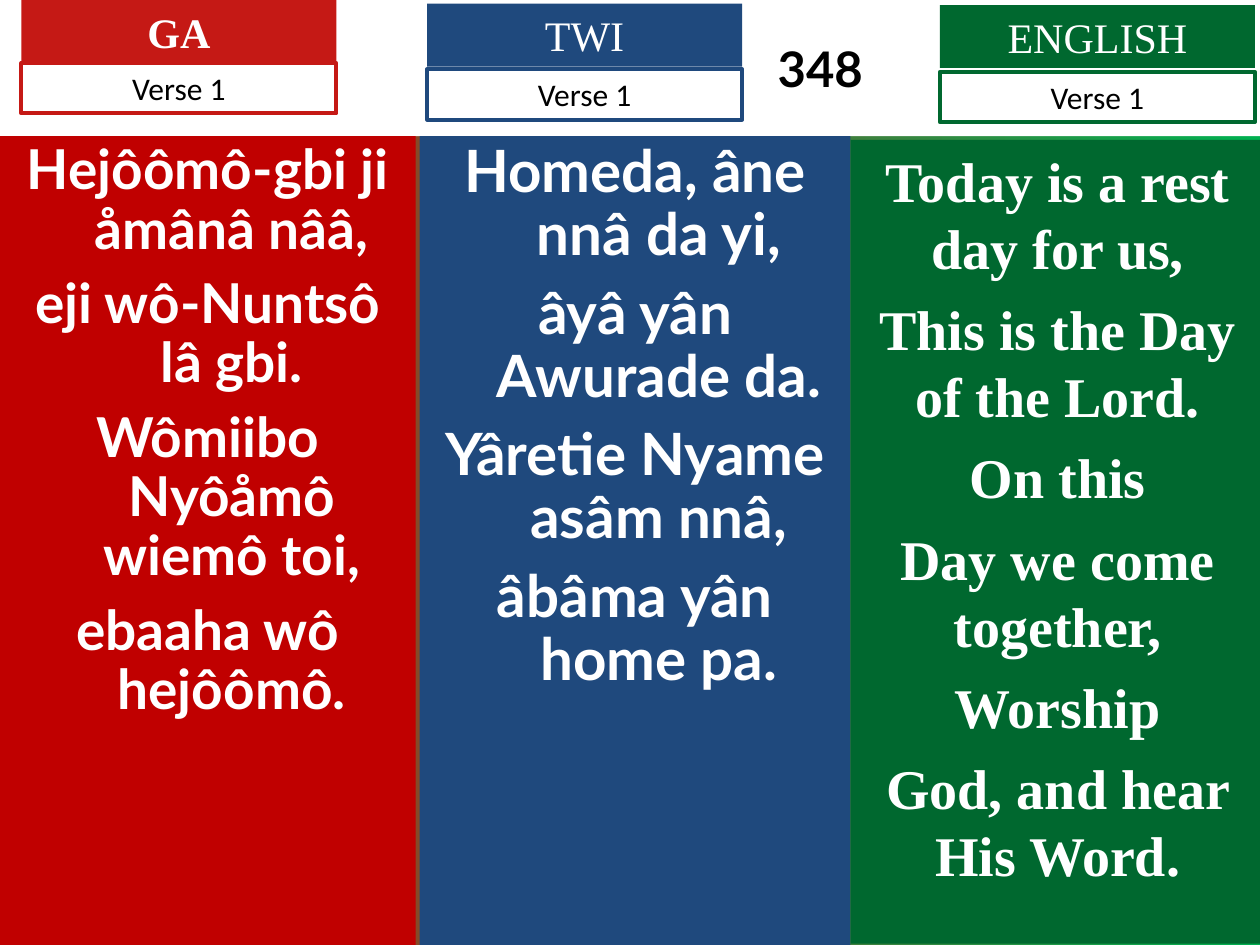
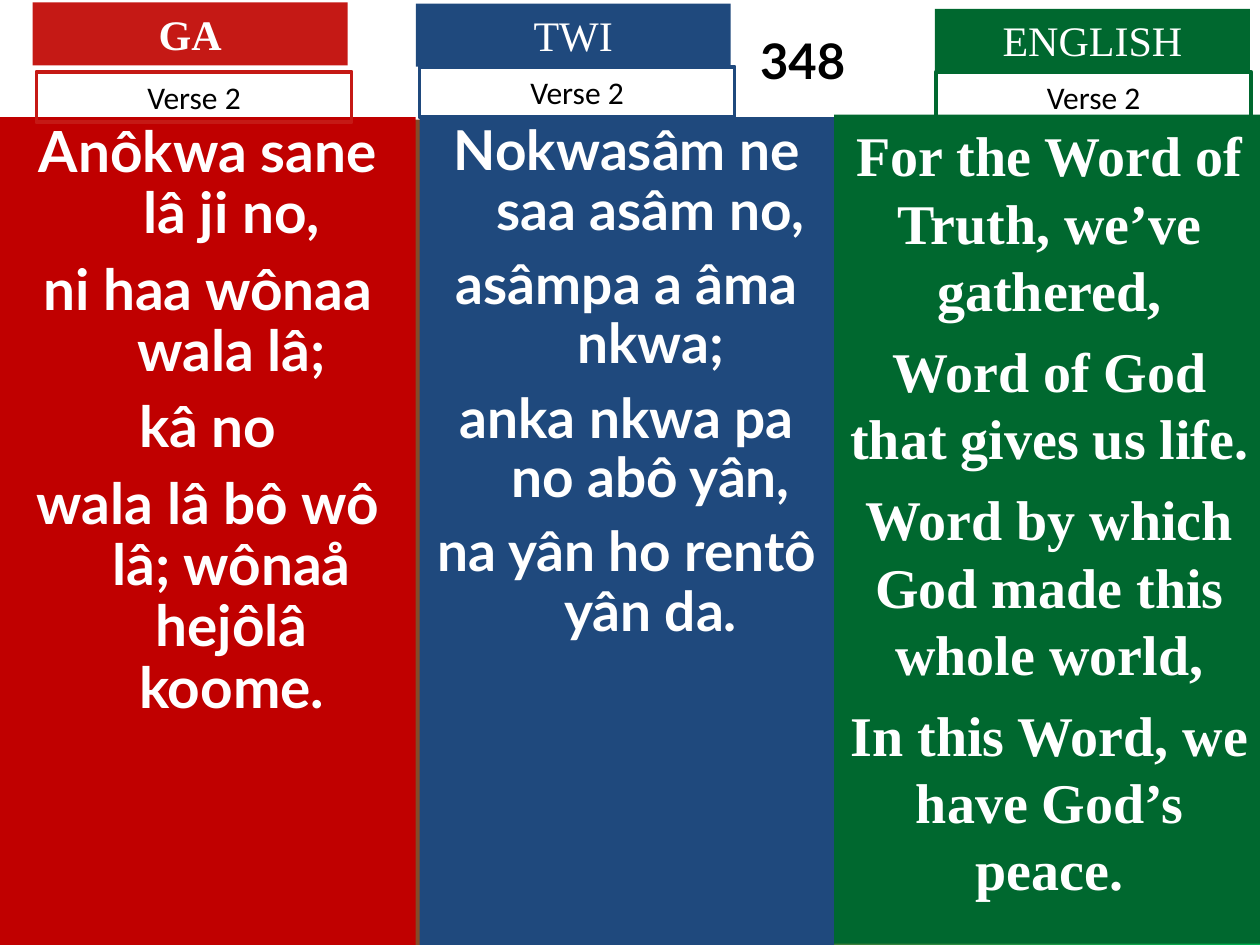
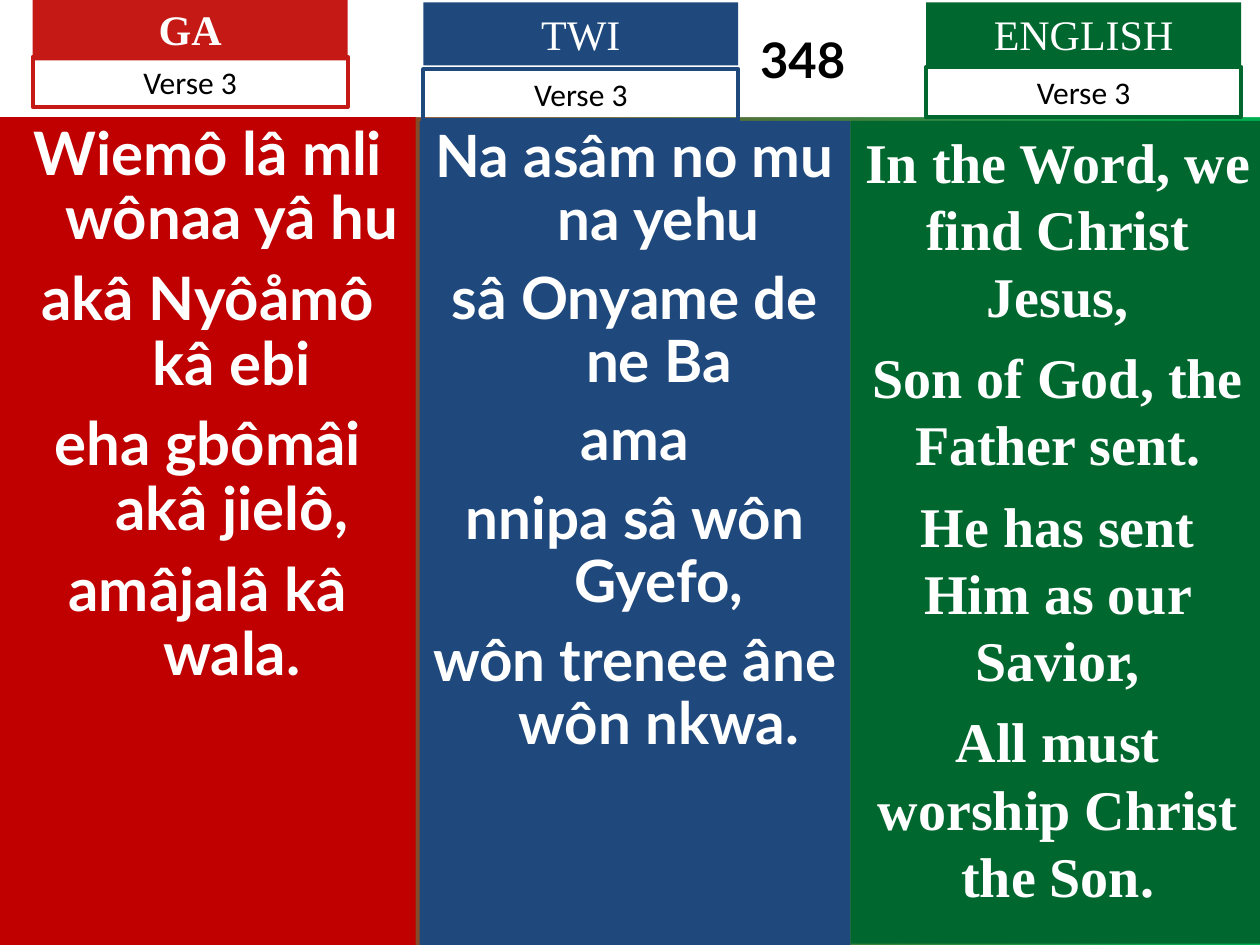
from dataclasses import dataclass

from pptx import Presentation
from pptx.dml.color import RGBColor
from pptx.enum.shapes import MSO_SHAPE
from pptx.enum.text import MSO_ANCHOR, MSO_AUTO_SIZE, PP_ALIGN
from pptx.util import Inches, Pt

RECTANGLE = MSO_SHAPE.RECTANGLE
CENTER = PP_ALIGN.CENTER
TOP, MIDDLE = MSO_ANCHOR.TOP, MSO_ANCHOR.MIDDLE
GROW = MSO_AUTO_SIZE.SHAPE_TO_FIT_TEXT


@dataclass(frozen=True)
class Theme:
    white: str = "FFFFFF"
    black: str = "000000"
    fade: tuple = ("C51915", "00B050")
    hymn_font: str = "Lato"
    serif_font: str = "Times New Roman"
    plain_font: str = "Calibri"
    number_size: float = 28
    language_size: float = 24
    verse_size: float = 18
    outline: float = 2.25


THEME = Theme()

# Grid of 100 columns by 75 rows
presentation = Presentation()
presentation.slide_width, presentation.slide_height = Inches(10), Inches(7.5)
COLUMN = presentation.slide_width / 100
ROW = presentation.slide_height / 75
LABEL_WIDTH, LANGUAGE_HEIGHT, VERSE_HEIGHT = 25, 5, 4
RED_RIGHT, BLUE_LEFT, GREEN_RIGHT = 33, 33.3, 100.4
HANGING = round(3.8 * COLUMN)

# Per language: name, label colour, panel colour, bold label, lyric font,
# hanging lines, line spacing, space before as share of type size, panel bottom
LANGUAGES = [
    ("GA", "C51915", "C00000", True, THEME.hymn_font, True, 0.9, 0.27, 75),
    ("TWI", "1F497D", "1F497D", False, THEME.hymn_font, True, 0.9, 0.27, 75),
    ("ENGLISH", "00682F", "00682F", False, THEME.serif_font, False, 1.0, 0.25, 74.9),
]

# Per verse: band height, number inset, left edge of the green panel, and for
# each language: panel top, type size, language label, verse label, lyrics
VERSES = [
    (10.8, 30.2, 67.5, [
        (10.8, 31.4, (1.7, 0), (1.7, 5),
         ["Hejôômô-gbi ji åmânâ nââ,", "eji wô-Nuntsô lâ gbi.",
          "Wômiibo Nyôåmô wiemô toi,", "ebaaha wô hejôômô."]),
        (10.8, 33.3, (33.9, 0.3), (33.9, 5.5),
         ["Homeda, âne nnâ da yi,", "âyâ yân Awurade da.",
          "Yâretie Nyame asâm nnâ,", "âbâma yân home pa."]),
        (11.1, 32, (74.6, 0.4), (74.6, 5.7),
         ["Today is a rest day for us,", "This is the Day of the Lord.",
          "On this", "Day we come together,", "Worship",
          "God, and hear His Word."]),
    ]),
    (9.5, 27.4, 66.2, [
        (9.3, 32.4, (2.6, 0.2), (2.9, 5.7),
         ["Anôkwa sane lâ ji no,", "ni haa wônaa wala lâ;", "kâ no",
          "wala lâ bô wô lâ; wônaå hejôlâ koome."]),
        (9.3, 31.4, (33, 0.3), (33.3, 5.3),
         ["Nokwasâm ne saa asâm no,", "asâmpa a âma nkwa;",
          "anka nkwa pa no abô yân,", "na yân ho rentô yân da."]),
        (9.1, 32, (74.2, 0.7), (74.3, 5.7),
         ["For the Word of Truth, we’ve gathered,",
          "Word of God that gives us life.",
          "Word by which God made this whole world,",
          "In this Word, we have God’s peace."]),
    ]),
    (9.3, 27.4, 67.5, [
        (9.3, 34.2, (2.6, -0.2), (2.6, 4.5),
         ["Wiemô lâ mli wônaa yâ hu", "akâ Nyôåmô kâ ebi",
          "eha gbômâi akâ jielô,", "amâjalâ kâ wala."]),
        (9.6, 33.3, (33.6, 0.2), (33.6, 5.5),
         ["Na asâm no mu na yehu", "sâ Onyame de ne Ba", "ama",
          "nnipa sâ wôn Gyefo,", "wôn trenee âne wôn nkwa."]),
        (9.6, 32, (73.5, 0.2), (73.5, 5.3),
         ["In the Word, we find Christ Jesus,", "Son of God, the Father sent.",
          "He has sent Him as our Savior,", "All must worship Christ the Son."]),
    ]),
]


def add_box(slide, left, top, width, height, fill=None, line=None):
    shape = slide.shapes.add_shape(
        RECTANGLE, round(left * COLUMN), round(top * ROW),
        round(width * COLUMN), round(height * ROW))
    shape.shadow.inherit = False
    if fill:
        shape.fill.solid()
        shape.fill.fore_color.rgb = RGBColor.from_string(fill)
    else:
        shape.fill.background()
    if line:
        shape.line.color.rgb = RGBColor.from_string(line)
        shape.line.width = Pt(THEME.outline)
    else:
        shape.line.fill.background()
    return shape


def write(shape, lines, font, size, color, bold=False, anchor=TOP):
    frame = shape.text_frame
    frame.word_wrap = True
    frame.vertical_anchor = anchor
    frame.text = "\n".join(lines)
    for paragraph in frame.paragraphs:
        paragraph.alignment = CENTER
        paragraph.font.name = font
        paragraph.font.size = Pt(size)
        paragraph.font.bold = bold
        paragraph.font.color.rgb = RGBColor.from_string(color)
    return frame


for number, (band_height, number_inset, seam, texts) in enumerate(VERSES, 1):
    slide = presentation.slides.add_slide(presentation.slide_layouts[6])

    # Background fade
    background = slide.background.fill
    background.gradient()
    background.gradient_angle = 0
    for stop, color in zip(background.gradient_stops, THEME.fade):
        stop.color.rgb = RGBColor.from_string(color)

    # White band with the hymn number
    band = add_box(slide, 0, 0, 100, band_height, THEME.white)
    frame = write(band, ["348"], THEME.hymn_font, THEME.number_size,
                  THEME.black, True, MIDDLE)
    frame.margin_left, frame.margin_right = round(number_inset * COLUMN), 0

    # One panel and two labels per language
    edges = [(0, RED_RIGHT), (BLUE_LEFT, seam), (seam, GREEN_RIGHT)]
    for language, (left, right), text in zip(LANGUAGES, edges, texts):
        (name, label_color, panel_color, bold, font, hanging,
         line_spacing, gap, bottom) = language
        top, size, language_spot, verse_spot, lyrics = text

        panel = add_box(slide, left, top, right - left, bottom - top, panel_color)
        frame = write(panel, lyrics, font, size, THEME.white, True)
        for index, paragraph in enumerate(frame.paragraphs):
            paragraph.line_spacing = line_spacing
            paragraph.space_before = Pt(round(size * gap, 1) if index else 0)
            if hanging:
                properties = paragraph._p.get_or_add_pPr()
                properties.set("marL", str(HANGING))
                properties.set("indent", str(-HANGING))

        label = add_box(slide, *language_spot, LABEL_WIDTH, LANGUAGE_HEIGHT, label_color)
        write(label, [name], THEME.serif_font, THEME.language_size,
              THEME.white, bold).auto_size = GROW
        label = add_box(slide, *verse_spot, LABEL_WIDTH, VERSE_HEIGHT, line=label_color)
        write(label, [f"Verse {number}"], THEME.plain_font, THEME.verse_size,
              THEME.black).auto_size = GROW

presentation.save("out.pptx")
